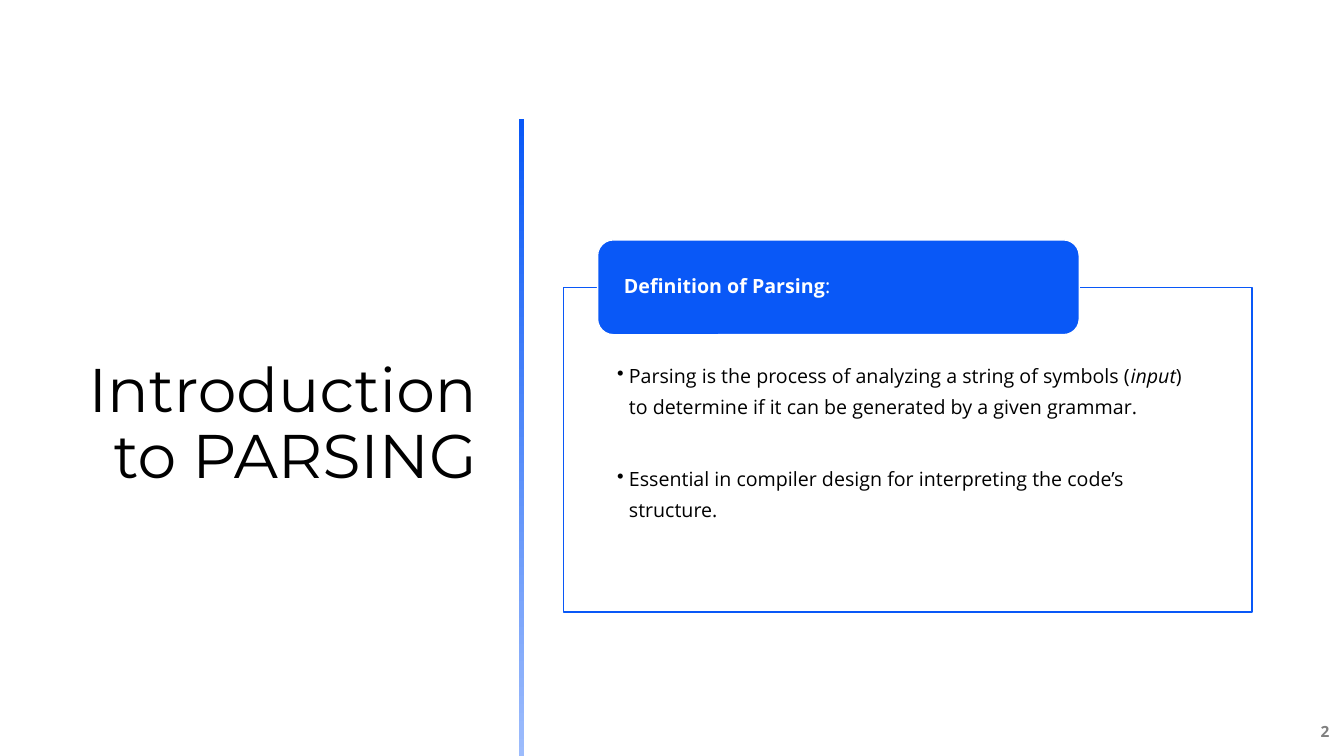
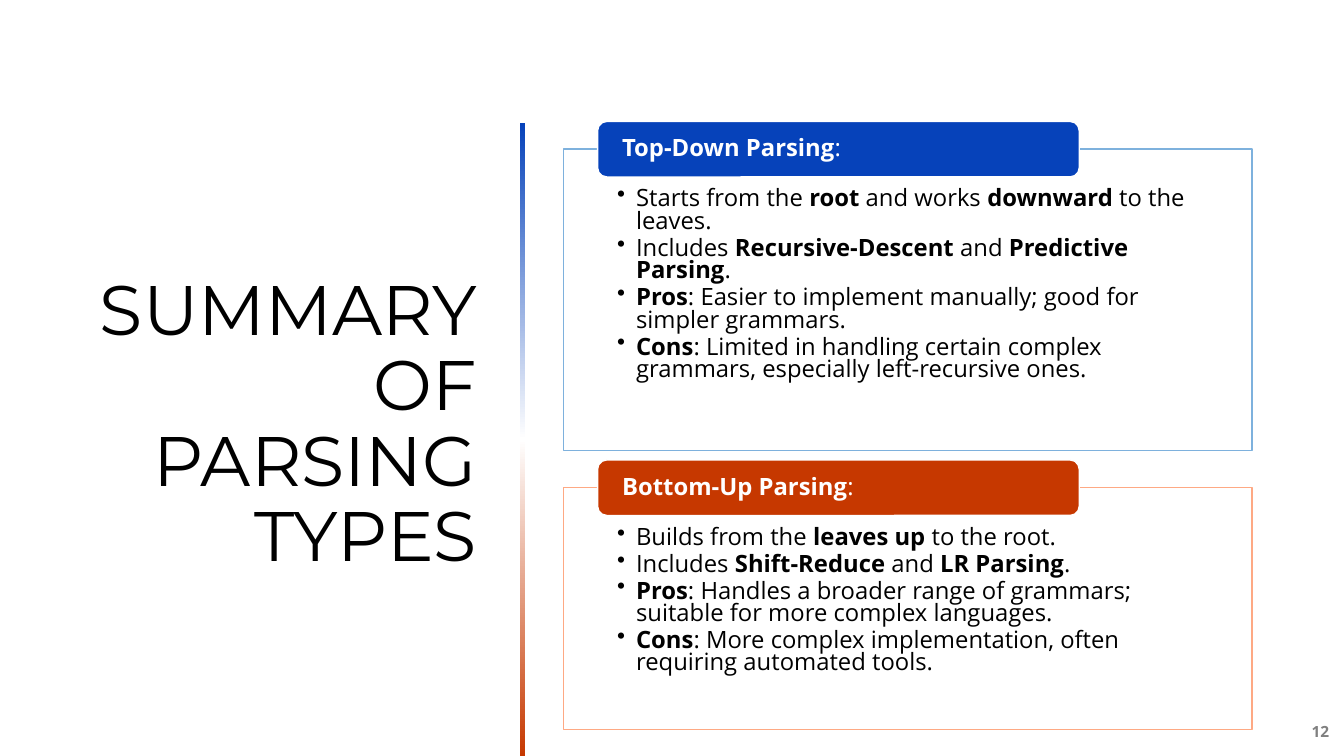
from lxml.etree import SubElement
from pptx import Presentation
from pptx.dml.color import RGBColor
from pptx.enum.shapes import MSO_SHAPE
from pptx.enum.text import MSO_ANCHOR, PP_ALIGN
from pptx.oxml.ns import qn
from pptx.util import Cm, Pt

# Shared style
COLOURS = {
    "white": "FFFFFF", "black": "000000", "grey": "808080",
    "blue": "0958F7", "pale blue": "9DBCFC",
    "deep blue": "0642BA", "sky": "7EB1DD",
    "rust": "C63800", "peach": "FEA984",
}
TITLE_FONT, BODY_FONT = "Montserrat", "Open Sans"
PAGE_WIDTH, PAGE_HEIGHT = 33.87, 19.05
PANEL_LEFT, PANEL_WIDTH, PANEL_PADDING = 14.2, 17.35, 1.35
TAB_LEFT, TAB_WIDTH = 15.06, 12.14


def rgb(name):
    return RGBColor.from_string(COLOURS[name])


def add_span(para, text, *, size, font=BODY_FONT, colour="black", bold=False, italic=False):
    span = para.add_run()
    span.text = text
    span.font.name, span.font.size = font, Pt(size)
    span.font.bold, span.font.italic = bold, italic
    span.font.color.rgb = rgb(colour)


def set_frame(frame, *, margins=(0.25, 0.13, 0.25, 0.13), anchor=MSO_ANCHOR.MIDDLE):
    frame.word_wrap = True
    frame.vertical_anchor = anchor
    (frame.margin_left, frame.margin_top,
     frame.margin_right, frame.margin_bottom) = map(Cm, margins)


def add_label(page, text, left, top, width, height, *, line_spacing=1.0, **style):
    """Right-aligned text, centred vertically."""
    box = page.shapes.add_textbox(Cm(left), Cm(top), Cm(width), Cm(height))
    set_frame(box.text_frame)
    para = box.text_frame.paragraphs[0]
    para.alignment = PP_ALIGN.RIGHT
    para.line_spacing = line_spacing
    add_span(para, text, **style)


def add_block(page, kind, left, top, width, height, *, fill=None, line=None):
    block = page.shapes.add_shape(kind, Cm(left), Cm(top), Cm(width), Cm(height))
    block.shadow.inherit = False
    if fill:
        block.fill.solid()
        block.fill.fore_color.rgb = rgb(fill)
    if line:
        block.line.color.rgb = rgb(line)
        block.line.width = Pt(1)
    else:
        block.line.fill.background()
    return block


def add_divider(page, left, top, colours):
    """Vertical bar fading through evenly spaced colours down to the page edge."""
    bar = add_block(page, MSO_SHAPE.RECTANGLE, left, top, 0.13, PAGE_HEIGHT - top)
    bar.fill.gradient()
    bar.fill.gradient_angle = 270
    stops = bar._element.spPr.find(qn("a:gradFill")).find(qn("a:gsLst"))
    stops.clear()
    for index, name in enumerate(colours):
        position = 100000 * index // (len(colours) - 1)
        stop = SubElement(stops, qn("a:gs"), pos=str(position))
        SubElement(stop, qn("a:srgbClr"), val=COLOURS[name])


def add_bullet(para, hang):
    properties = para._p.get_or_add_pPr()
    properties.set("marL", str(Cm(hang)))
    properties.set("indent", str(-Cm(hang)))
    SubElement(properties, qn("a:buChar"), char="•")


def add_panel(page, heading, bullets, *, top, height, tab_height, fill, line,
              size, padding_top, hang, line_spacing, gap):
    """Outlined bullet list with a heading tab centred on its top edge."""
    panel = add_block(page, MSO_SHAPE.RECTANGLE, PANEL_LEFT, top, PANEL_WIDTH, height,
                      fill="white", line=line)
    frame = panel.text_frame
    set_frame(frame, anchor=MSO_ANCHOR.TOP,
              margins=(PANEL_PADDING, padding_top, PANEL_PADDING, 0.3))
    for index, spans in enumerate(bullets):
        para = frame.add_paragraph() if index else frame.paragraphs[0]
        add_bullet(para, hang)
        para.alignment = PP_ALIGN.LEFT
        para.line_spacing = line_spacing
        para.space_after = Pt(gap)
        for text, style in spans:
            add_span(para, text, size=size, bold=style == "bold", italic=style == "italic")

    tab = add_block(page, MSO_SHAPE.ROUNDED_RECTANGLE, TAB_LEFT, top - tab_height / 2,
                    TAB_WIDTH, tab_height, fill=fill, line="white")
    set_frame(tab.text_frame, margins=(0.55, 0, 0.55, 0))
    para = tab.text_frame.paragraphs[0]
    para.alignment = PP_ALIGN.LEFT
    para.line_spacing = 0.9
    add_span(para, heading, size=size, colour="white", bold=True)
    add_span(para, ":", size=size, colour="white")


def add_page(deck, title, title_size, number):
    page = deck.slides.add_slide(deck.slide_layouts[6])
    add_label(page, title, 1.32, 2.97, 10.95, 15.52, line_spacing=0.9,
              size=title_size, font=TITLE_FONT)
    add_label(page, number, 32.51, 17.93, 1.24, 1.02, size=11, colour="grey", bold=True)
    return page


# Slides
def build_introduction(deck):
    page = add_page(deck, "Introduction to PARSING", 44, "2")
    bullets = [
        [("Parsing is the process of analyzing a string of symbols (", ""),
         ("input", "italic"),
         (") to determine if it can be generated by a given grammar.", "")],
        [("Essential in compiler design for interpreting the code’s structure.", "")],
    ]
    add_panel(page, "Definition of Parsing", bullets, top=7.24, height=8.18,
              tab_height=2.39, fill="blue", line="blue", size=14,
              padding_top=1.73, hang=0.3, line_spacing=1.33, gap=29)
    add_divider(page, 13.08, 3, ["blue", "pale blue"])


def build_summary(deck):
    page = add_page(deck, "SUMMARY OF PARSING TYPES", 50, "12")
    layout = dict(tab_height=1.4, size=17, padding_top=1, hang=0.48,
                  line_spacing=0.79, gap=3)
    top_down = [
        [("Starts from the ", ""), ("root", "bold"), (" and works ", ""),
         ("downward ", "bold"), ("to the leaves.", "")],
        [("Includes ", ""), ("Recursive-Descent", "bold"), (" and ", ""),
         ("Predictive Parsing", "bold"), (".", "")],
        [("Pros", "bold"),
         (": Easier to implement manually; good for simpler grammars.", "")],
        [("Cons", "bold"),
         (": Limited in handling certain complex grammars, "
          "especially left-recursive ones.", "")],
    ]
    bottom_up = [
        [("Builds from the ", ""), ("leaves up ", "bold"), ("to the root.", "")],
        [("Includes ", ""), ("Shift-Reduce", "bold"), (" and ", ""),
         ("LR Parsing", "bold"), (".", "")],
        [("Pros", "bold"),
         (": Handles a broader range of grammars; "
          "suitable for more complex languages.", "")],
        [("Cons", "bold"),
         (": More complex implementation, often requiring automated tools.", "")],
    ]
    add_panel(page, "Top-Down Parsing", top_down, top=3.76, height=7.59,
              fill="deep blue", line="sky", **layout)
    add_panel(page, "Bottom-Up Parsing", bottom_up, top=12.29, height=6.1,
              fill="rust", line="peach", **layout)
    add_divider(page, 13.11, 3.1, ["deep blue", "white", "rust"])


def main():
    deck = Presentation()
    deck.slide_width, deck.slide_height = Cm(PAGE_WIDTH), Cm(PAGE_HEIGHT)
    build_introduction(deck)
    build_summary(deck)
    deck.save("out.pptx")


if __name__ == "__main__":
    main()
